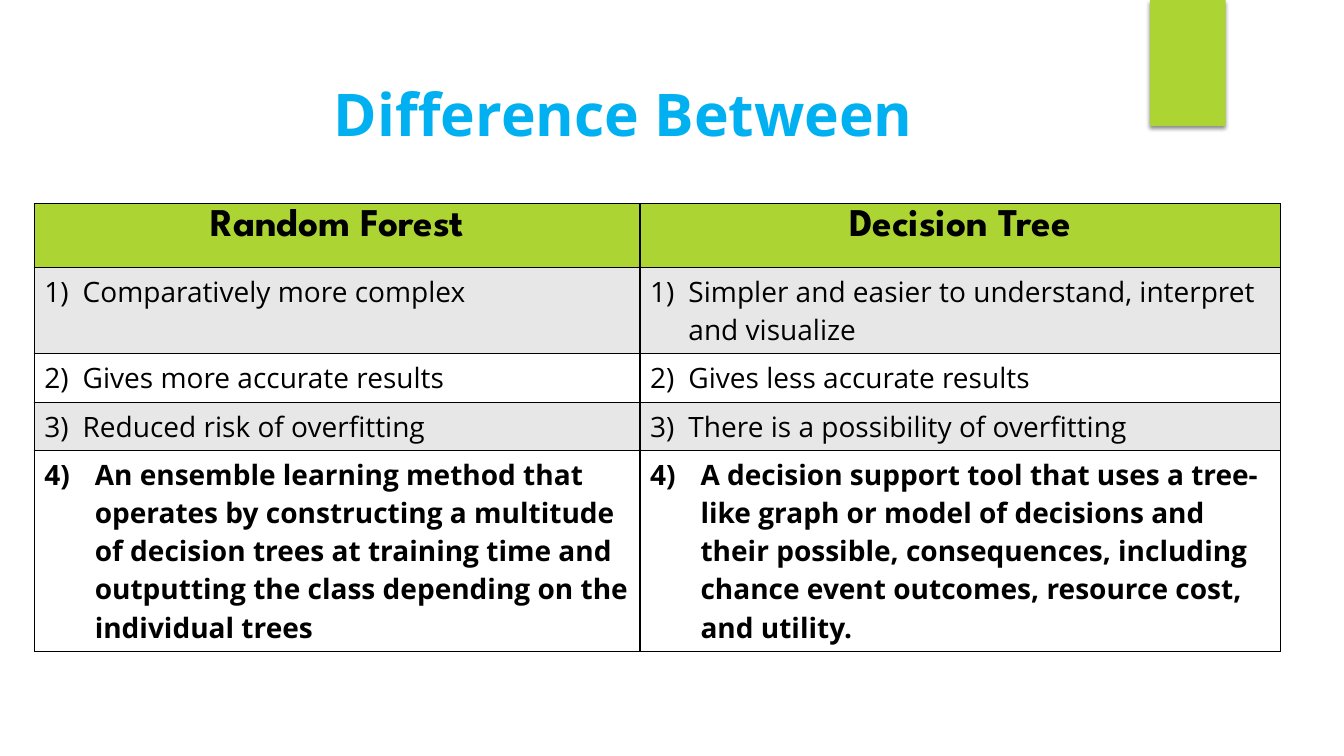
"""Build a slide that compares random forests with decision trees in a table."""
from lxml.etree import SubElement
from pptx import Presentation
from pptx.dml.color import RGBColor
from pptx.enum.shapes import MSO_SHAPE as Shape
from pptx.enum.text import MSO_ANCHOR as Anchor, PP_ALIGN as Align
from pptx.oxml.ns import qn
from pptx.util import Emu, Inches, Pt

TITLE = "Difference Between"
HEADINGS = ("Random Forest", "Decision Tree")
POINTS = [
    ("Comparatively more complex",
     "Simpler and easier to understand, interpret and visualize"),
    ("Gives more accurate results", "Gives less accurate results"),
    ("Reduced risk of overfitting", "There is a possibility of overfitting"),
    ("An ensemble learning method that operates by constructing a multitude of "
     "decision trees at training time and outputting the class depending on the "
     "individual trees",
     "A decision support tool that uses a tree-like graph or model of decisions "
     "and their possible, consequences, including chance event outcomes, "
     "resource cost, and utility."),
]
COLUMNS = (6.01, 6.35)
ROWS = (0.63, 0.86, 0.48, 0.48, 1.95)
GREEN, BLUE, BLACK = "ACD433", "00B0F0", "000000"
BANDS = ("FFFFFF", "E7E7E7")
BODY_FONT, HEADING_FONT = "Open Sans", "League Spartan"


def color(code):
    return RGBColor.from_string(code)


def paint(target, code):
    target.fill.solid()
    target.fill.fore_color.rgb = color(code)


def style(para, face, size, code, bold):
    font = para.font
    font.name, font.size, font.bold = face, Pt(size), bold
    font.color.rgb = color(code)


def add(parent, tag, **attributes):
    return SubElement(parent, qn(tag), {key: str(value) for key, value in attributes.items()})


def add_borders(cell):
    properties = cell._tc.get_or_add_tcPr()
    for side in "LRTB":
        line = add(properties, f"a:ln{side}", w=Pt(1))
        add(add(line, "a:solidFill"), "a:srgbClr", val=BLACK)


def number(para, start, indent):
    properties = para._p.get_or_add_pPr()
    properties.set("marL", str(Inches(indent)))
    properties.set("indent", str(-Inches(indent)))
    add(properties, "a:buFont", typeface="+mj-lt")
    add(properties, "a:buAutoNum", type="arabicParenR", startAt=start)


def add_tab(slide):
    tab = slide.shapes.add_shape(Shape.RECTANGLE, Inches(11.41), 0, Inches(0.75), Inches(1.25))
    paint(tab, GREEN)
    tab.line.fill.background()
    tab.shadow.inherit = False
    effects = tab._element.spPr.find(qn("a:effectLst"))
    shadow = add(effects, "a:outerShdw", blurRad=Pt(3), dist=Pt(2), dir=90 * 60000, rotWithShape=0)
    add(add(shadow, "a:srgbClr", val=BLACK), "a:alpha", val=45000)


def add_title(slide):
    title = slide.shapes.title
    title.left, title.top, title.width, title.height = map(Inches, (1.04, 0.72, 10.29, 1.1))
    title.text_frame.text = TITLE
    title.text_frame.vertical_anchor = Anchor.TOP
    para = title.text_frame.paragraphs[0]
    para.alignment = Align.CENTER
    style(para, BODY_FONT, 42, BLUE, True)


def add_comparison(slide):
    table = slide.shapes.add_table(
        len(ROWS), len(COLUMNS), Inches(0.34), Inches(2.02),
        Inches(sum(COLUMNS)), Inches(sum(ROWS))).table
    for column, width in zip(table.columns, COLUMNS):
        column.width = Inches(width)
    for row, height in zip(table.rows, ROWS):
        row.height = Inches(height)
    for index, texts in enumerate([HEADINGS, *POINTS]):
        last = index == len(POINTS)
        for side, text in enumerate(texts):
            cell = table.cell(index, side)
            cell.text = text
            add_borders(cell)
            para = cell.text_frame.paragraphs[0]
            if index == 0:
                paint(cell, GREEN)
                para.alignment = Align.CENTER
                style(para, HEADING_FONT, 28, BLACK, True)
            else:
                paint(cell, BANDS[index % 2])
                number(para, index, 0.5 if last else 0.38)
                style(para, BODY_FONT, 20, BLACK, last)


def main():
    deck = Presentation()
    deck.slide_width, deck.slide_height = Emu(12192000), Inches(7.5)
    slide = deck.slides.add_slide(deck.slide_layouts[5])
    add_tab(slide)
    add_title(slide)
    add_comparison(slide)
    deck.save("out.pptx")


if __name__ == "__main__":
    main()
